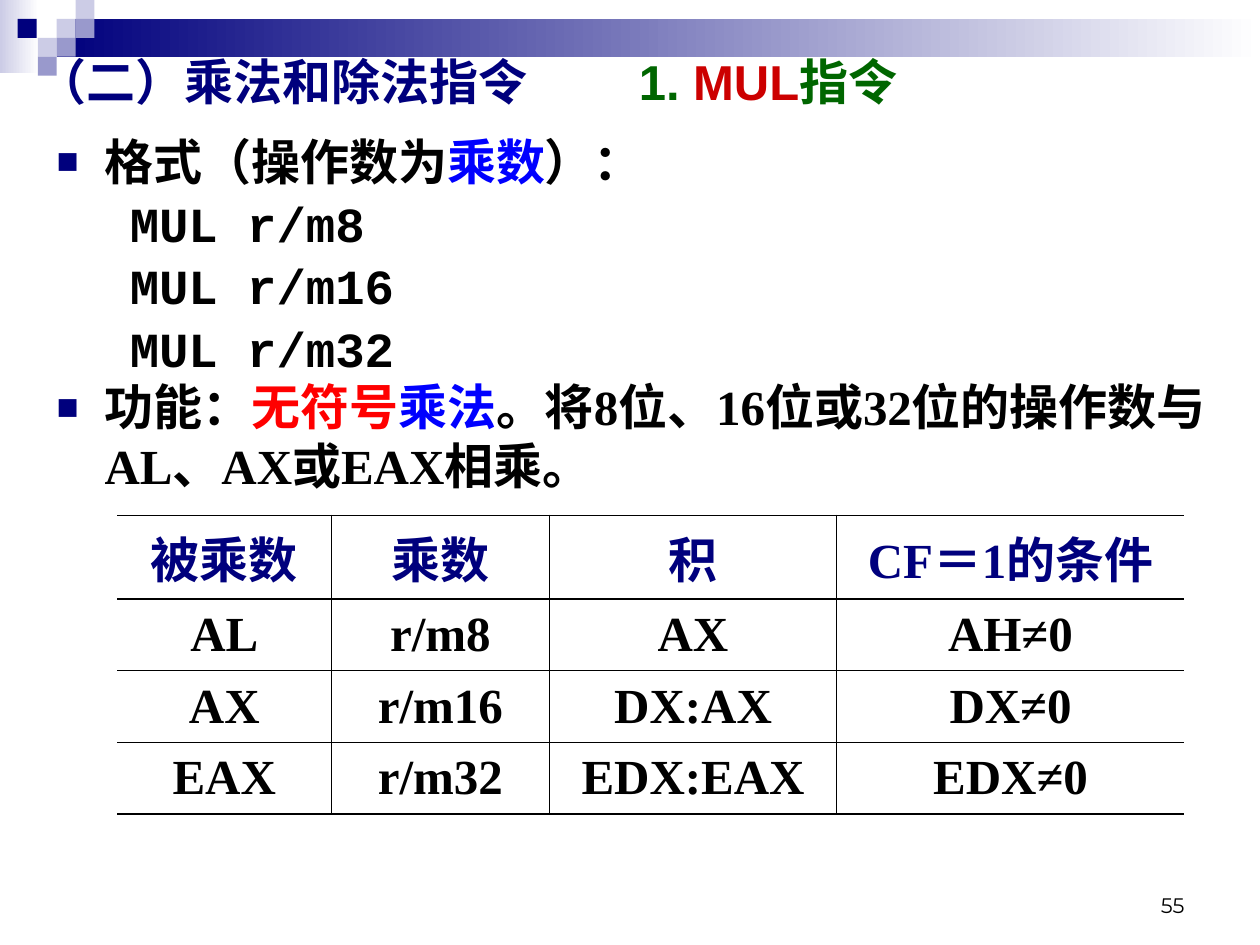
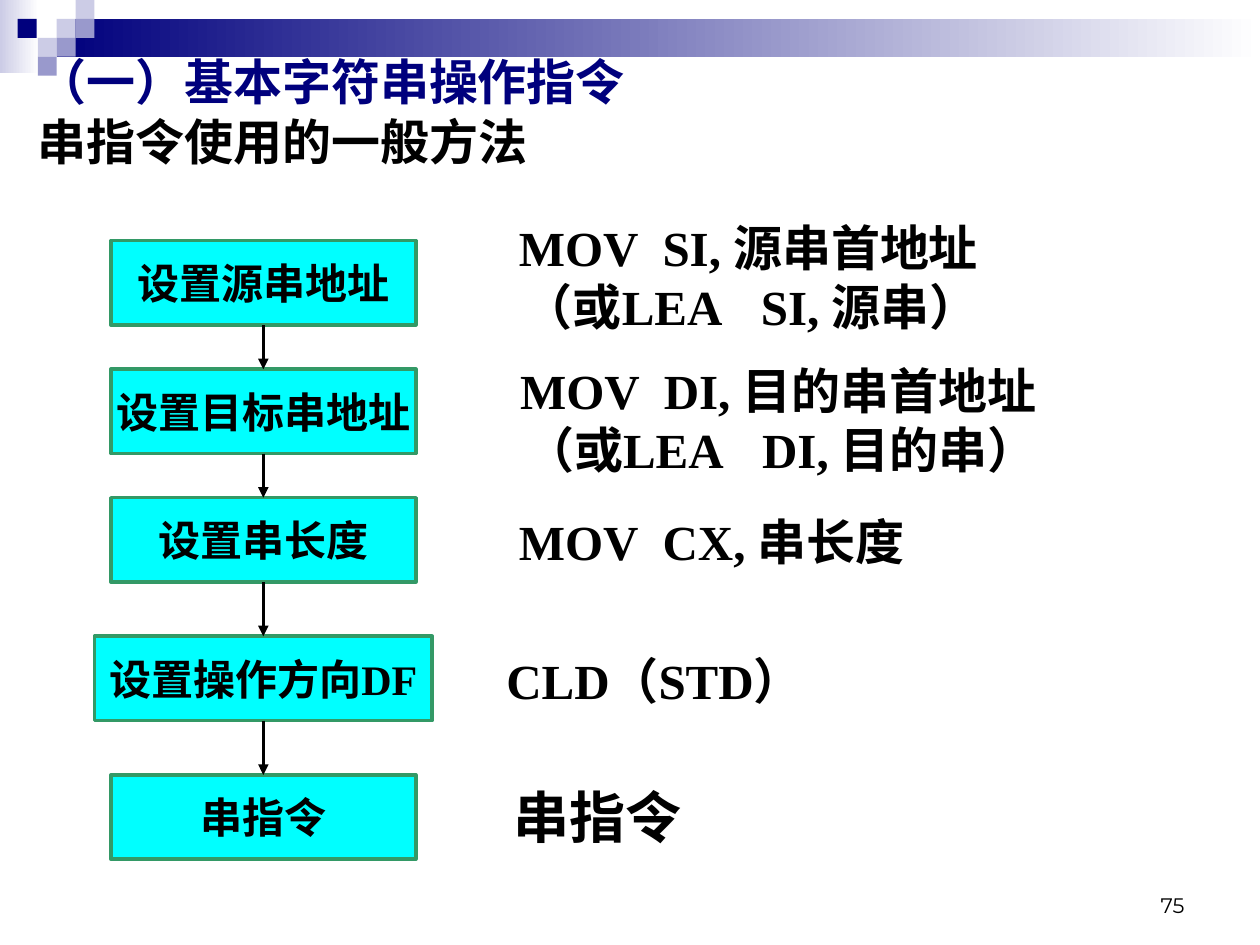
from lxml import etree
from pptx import Presentation
from pptx import util as u
from pptx.dml.color import RGBColor
from pptx.enum import shapes, text
from pptx.oxml import ns

I = u.Inches
COLORS = {"navy": "00007D", "lilac": "CCCCE6", "violet": "9999CC", "white": "FFFFFF",
          "black": "000000", "blue": "0000FF", "red": "FF0000", "crimson": "CC0000",
          "green": "006600", "cyan": "00FFFF", "sea": "339966"}
SERIF, SANS, MONO = "Times New Roman", "Arial", "Courier New"
TITLE_BOX = (0.2, 0.36, 9.61, 0.63)
MARGINS = (0.1, 0.05, 0.1, 0.05)


def rgb(name):
    """Return the named colour."""
    return RGBColor.from_string(COLORS[name])


def sub(parent, tag, **attrs):
    """Append a DrawingML child element."""
    return etree.SubElement(parent, ns.qn(tag), {k: str(v) for k, v in attrs.items()})


def write(p, words, color="black", size=28, font=SERIF, bold=True):
    """Add one formatted run to a paragraph."""
    r = p.add_run()
    r.text = words
    f = r.font
    f.name, f.size, f.bold = font, u.Pt(size), bold
    f.color.rgb = rgb(color)


def place(sp, box):
    """Move a shape to left, top, width, height."""
    sp.left, sp.top, sp.width, sp.height = map(I, box)


def set_frame(tf, anchor=text.MSO_ANCHOR.TOP, margins=MARGINS):
    """Set wrapping, anchor and margins of a text frame."""
    tf.word_wrap, tf.auto_size, tf.vertical_anchor = True, text.MSO_AUTO_SIZE.NONE, anchor
    tf.margin_left, tf.margin_top, tf.margin_right, tf.margin_bottom = map(I, margins)


def set_tab(p, position, indent=0):
    """Give a paragraph one left tab stop and a left indent."""
    pPr = p._p.get_or_add_pPr()
    pPr.set("marL", str(I(indent)))
    sub(sub(pPr, "a:tabLst"), "a:tab", pos=I(position), algn="l")


def set_bullet(p, left, hanging, square=True):
    """Set a hanging indent with a square bullet or none."""
    pPr = p._p.get_or_add_pPr()
    pPr.set("marL", str(I(left)))
    pPr.set("indent", str(I(-hanging)))
    if square:
        sub(sub(pPr, "a:buClr"), "a:srgbClr", val=COLORS["navy"])
        sub(pPr, "a:buSzPct", val=75000)
        sub(pPr, "a:buFont", typeface=SANS)
        sub(pPr, "a:buChar", char="■")
    else:
        sub(pPr, "a:buNone")
    p.space_before = u.Pt(0)


def add_rect(s, box, fill, line=None):
    """Add a plain rectangle; a pair of colours makes a gradient."""
    sp = s.shapes.add_shape(shapes.MSO_SHAPE.RECTANGLE, *map(I, box))
    sp.shadow.inherit = False
    if isinstance(fill, tuple):
        sp.fill.gradient()
        sp.fill.gradient_angle = 0
        for stop, name, pos in zip(sp.fill.gradient_stops, fill, (0, 1)):
            stop.color.rgb, stop.position = rgb(name), pos
    else:
        sp.fill.solid()
        sp.fill.fore_color.rgb = rgb(fill)
    if line:
        sp.line.color.rgb, sp.line.width = rgb(line), u.Pt(2)
    else:
        sp.line.fill.background()
    return sp


def add_textbox(s, box, margins=MARGINS, anchor=text.MSO_ANCHOR.TOP):
    """Add a text box and return its frame."""
    tf = s.shapes.add_textbox(*map(I, box)).text_frame
    set_frame(tf, anchor, margins)
    return tf


def add_banner(prs, s):
    """Put the gradient band and the squares on the slide master."""
    parts = [((0, 0, 0.31, 0.58), ("lilac", "white")),
             ((0.45, 0.15, 9.55, 0.3), ("navy", "white"))]
    squares = [(0.45, 0.15, "lilac"), (0.6, 0, "lilac"), (0.6, 0.15, "violet"),
               (0.3, 0.3, "lilac"), (0.14, 0.15, "navy"), (0.45, 0.3, "violet"),
               (0.3, 0.45, "violet")]
    parts += [((x, y, 0.15, 0.15), fill) for x, y, fill in squares]
    tree = prs.slide_master.shapes.element
    for i, (box, fill) in enumerate(parts):
        el = add_rect(s, box, fill).element
        el.xpath(".//p:cNvPr")[0].set("id", str(100 + i))
        tree.insert(2 + i, el)


def add_number(s, number):
    """Add the page number."""
    p = add_textbox(s, (7.17, 6.83, 2.33, 0.5), anchor=text.MSO_ANCHOR.BOTTOM).paragraphs[0]
    p.alignment = text.PP_ALIGN.RIGHT
    write(p, number, size=12, font="Montserrat", bold=False)


def set_title(s, box, anchor=text.MSO_ANCHOR.TOP):
    """Move the title placeholder and return its paragraph."""
    place(s.shapes.title, box)
    tf = s.shapes.title.text_frame
    set_frame(tf, anchor)
    p = tf.paragraphs[0]
    p.alignment = text.PP_ALIGN.LEFT
    return p


def fill_body(s, box, items):
    """Fill the body placeholder with bullets and code lines."""
    sp = s.placeholders[1]
    place(sp, box)
    tf = sp.text_frame
    set_frame(tf)
    for i, (level, font, runs) in enumerate(items):
        p = tf.paragraphs[0] if i == 0 else tf.add_paragraph()
        p.level = level
        set_bullet(p, *((0.99, 0.41, False) if level else (0.38, 0.38)))
        if level:
            p.space_before = u.Pt(2)
        for words, color in runs:
            write(p, words, color, font=font)


def set_border(cell, side, width):
    """Draw one cell border, or hide it when the width is 0."""
    ln = sub(cell._tc.get_or_add_tcPr(), "a:ln" + side, w=u.Pt(width))
    if width:
        sub(sub(ln, "a:solidFill"), "a:srgbClr", val=COLORS["black"])
    else:
        sub(ln, "a:noFill")


def add_grid(s, left, top, widths, heights, rows):
    """Add a table ruled inside and open at its left and right."""
    tbl = s.shapes.add_table(len(rows), len(widths), I(left), I(top),
                             I(sum(widths)), I(sum(heights))).table
    tbl.first_row = tbl.horz_banding = False
    across = [1.08, 1.08] + [0.45] * (len(rows) - 2) + [1.08]
    down = [0] + [0.45] * (len(widths) - 1) + [0]
    for col, width in zip(tbl.columns, widths):
        col.width = I(width)
    for i, row in enumerate(rows):
        tbl.rows[i].height = I(heights[i])
        for j, words in enumerate(row):
            cell = tbl.cell(i, j)
            for side, width in zip("LRTB", (down[j], down[j + 1], across[i], across[i + 1])):
                set_border(cell, side, width)
            cell.fill.background()
            cell.vertical_anchor = text.MSO_ANCHOR.MIDDLE
            p = cell.text_frame.paragraphs[0]
            p.alignment = text.PP_ALIGN.CENTER
            write(p, words, "black" if i else "navy")


def add_step(s, top, width, words):
    """Add one labelled box of the flow."""
    sp = add_rect(s, (2.09 - width / 2, top, width, 0.67), "cyan", "sea")
    set_frame(sp.text_frame, text.MSO_ANCHOR.MIDDLE, (0, 0.05, 0, 0.05))
    p = sp.text_frame.paragraphs[0]
    p.alignment = text.PP_ALIGN.CENTER
    write(p, words, size=24)
    return sp


def add_arrow(s, upper, lower):
    """Join two boxes with a downward arrow."""
    c = s.shapes.add_connector(shapes.MSO_CONNECTOR.STRAIGHT, 0, 0, 0, 0)
    c.begin_connect(upper, 2)
    c.end_connect(lower, 0)
    c.line.color.rgb, c.line.width = rgb("black"), u.Pt(2)
    sub(c.line._get_or_add_ln(), "a:tailEnd", type="triangle")
    sub(c.element.spPr, "a:effectLst")


def add_code(s, box, lines, size=28):
    """Add instruction lines given as text, tab position and indent."""
    tf = add_textbox(s, box, (0.1, 0.05, 0, 0.05))
    for i, (words, tab, indent) in enumerate(lines):
        p = tf.paragraphs[0] if i == 0 else tf.add_paragraph()
        if tab:
            set_tab(p, tab, indent)
        write(p, words, size=size)


def build_mul(s):
    """Build the MUL instruction slide."""
    p = set_title(s, TITLE_BOX)
    set_tab(p, 4.77)
    for words, color in (("（二）乘法和除法指令\t", "navy"), ("1. ", "green"),
                         ("MUL", "crimson"), ("指令", "green")):
        write(p, words, color, font=SANS)
    code = [(1, MONO, [(f"MUL r/m{bits}", "black")]) for bits in (8, 16, 32)]
    fill_body(s, (0.35, 0.99, 9.37, 6.35), [
        (0, MONO, [("格式（操作数为", "black"), ("乘数", "blue"), ("）：", "black")]),
        *code,
        (0, SERIF, [("功能：", "black"), ("无符号", "red"), ("乘法", "blue"),
                    ("。将8位、16位或32位的操作数与AL、AX或EAX相乘。", "black")])])
    add_grid(s, 0.93, 4.09, (1.7, 1.73, 2.28, 2.76), (0.66, 0.57, 0.57, 0.57), [
        ("被乘数", "乘数", "积", "CF＝1的条件"),
        ("AL", "r/m8", "AX", "AH≠0"),
        ("AX", "r/m16", "DX:AX", "DX≠0"),
        ("EAX", "r/m32", "EDX:EAX", "EDX≠0")])
    add_number(s, "55")


def build_string(s):
    """Build the string instruction flow slide."""
    write(set_title(s, (0.2, 0.76, 9.37, 0.71), text.MSO_ANCHOR.MIDDLE),
          "串指令使用的一般方法", font=SANS)
    write(add_textbox(s, TITLE_BOX).paragraphs[0], "（一）基本字符串操作指令", "navy", font=SANS)
    steps = [add_step(s, *step) for step in (
        (1.91, 2.42, "设置源串地址"), (2.93, 2.42, "设置目标串地址"),
        (3.95, 2.42, "设置串长度"), (5.05, 2.68, "设置操作方向DF"), (6.15, 2.42, "串指令"))]
    for upper, lower in zip(steps, steps[1:]):
        add_arrow(s, upper, lower)
    add_code(s, (4.02, 1.68, 3.94, 1.04),
             [("MOV\tSI, 源串首地址", 1.14, 0), ("（或LEA\tSI, 源串）", 1.88, 0.04)])
    add_code(s, (4.03, 2.81, 4.39, 1.04),
             [("MOV\tDI, 目的串首地址", 1.14, 0), ("（或LEA\tDI, 目的串）", 1.88, 0.04)])
    add_code(s, (4.02, 4.01, 3.35, 0.57), [("MOV\tCX, 串长度", 1.14, 0)])
    add_code(s, (3.92, 5.11, 2.83, 0.57), [("CLD（STD）", 0, 0)])
    add_code(s, (3.98, 6.16, 1.53, 0.64), [("串指令", 0, 0)], size=32)
    add_number(s, "75")


def main():
    """Build and save the two slides."""
    prs = Presentation()
    prs.slide_width, prs.slide_height = I(10), I(7.5)
    mul = prs.slides.add_slide(prs.slide_layouts[1])
    add_banner(prs, mul)
    build_mul(mul)
    build_string(prs.slides.add_slide(prs.slide_layouts[5]))
    prs.save("out.pptx")


if __name__ == "__main__":
    main()
